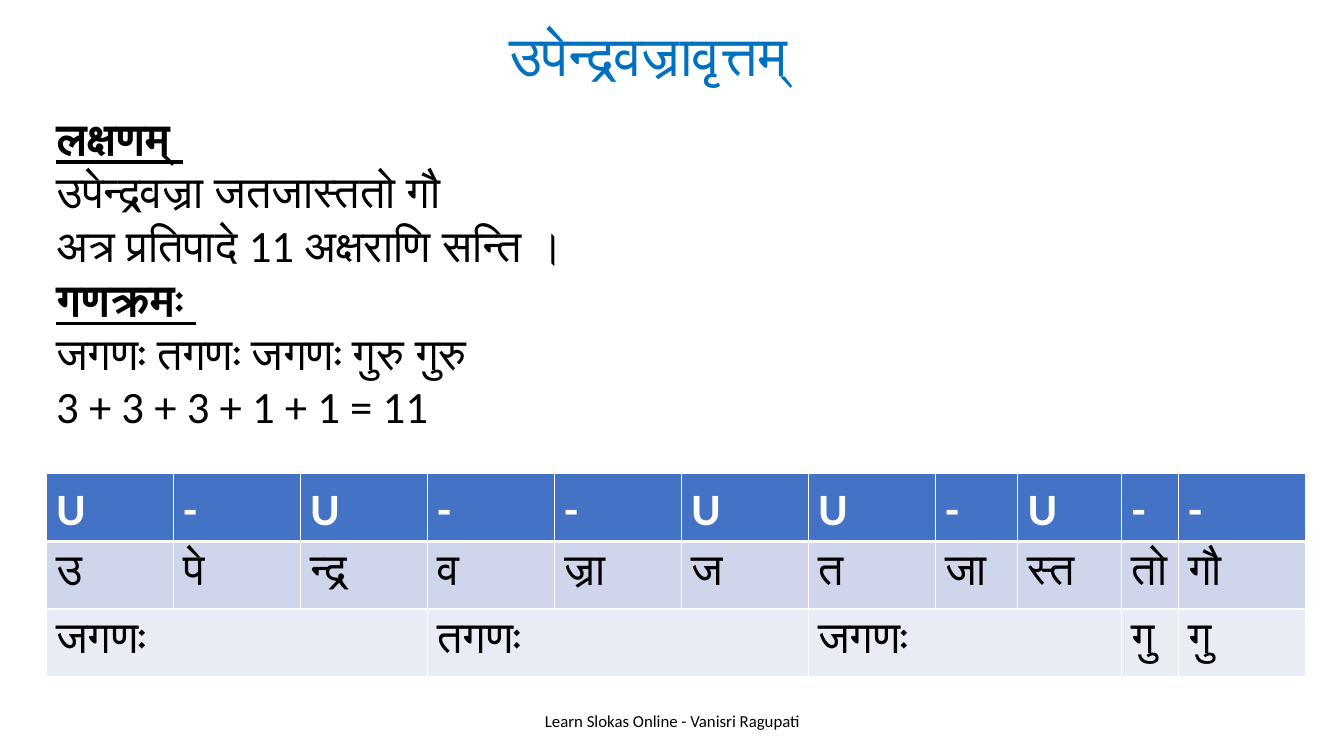
from dataclasses import dataclass

from lxml.etree import SubElement
from pptx import Presentation
from pptx.dml.color import RGBColor
from pptx.enum.text import MSO_ANCHOR, MSO_AUTO_SIZE, PP_ALIGN
from pptx.oxml.ns import qn
from pptx.util import Inches, Pt


@dataclass(frozen=True)
class Theme:
    font: str = "Calibri"
    ink: str = "000000"
    paper: str = "FFFFFF"
    title: str = "0070C0"
    bands: tuple = ("4472C4", "CFD5EA", "E9EBF5")
    title_size: int = 40
    body_size: int = 32
    footer_size: int = 12
    rule: int = 1
    header_rule: int = 3


def assign(target, values):
    for name, value in values.items():
        setattr(target, name, value)


class SlideBuilder:
    def __init__(self, prs, theme):
        self.prs = prs
        self.theme = theme
        self.s = prs.slides.add_slide(prs.slide_layouts[5])

    def x(self, percent):
        return round(self.prs.slide_width * percent / 100)

    def y(self, percent):
        return round(self.prs.slide_height * percent / 100)

    def place(self, left, top, width, height):
        return {"left": self.x(left), "top": self.y(top),
                "width": self.x(width), "height": self.y(height)}

    def add_line(self, p, text, size, color, para=None, **style):
        assign(p, para or {})
        r = p.add_run()
        r.text = text
        assign(r.font, {"name": self.theme.font, "size": Pt(size), **style})
        r.font.color.rgb = RGBColor.from_string(color)

    def title(self, text, box, bottom):
        sp = self.s.shapes.title
        assign(sp, self.place(*box))
        tf = sp.text_frame
        assign(tf, {"word_wrap": True, "auto_size": MSO_AUTO_SIZE.NONE,
                    "vertical_anchor": MSO_ANCHOR.BOTTOM,
                    "margin_bottom": self.y(bottom)})
        self.add_line(tf.paragraphs[0], text, self.theme.title_size, self.theme.title,
                      {"alignment": PP_ALIGN.CENTER, "line_spacing": 0.9})

    def text(self, lines, box, size, align=PP_ALIGN.LEFT, fit=MSO_AUTO_SIZE.NONE):
        sp = self.s.shapes.add_textbox(*self.place(*box).values())
        tf = sp.text_frame
        assign(tf, {"word_wrap": True, "auto_size": fit,
                    "vertical_anchor": MSO_ANCHOR.MIDDLE})
        for i, (line, heading) in enumerate(lines):
            p = tf.add_paragraph() if i else tf.paragraphs[0]
            self.add_line(p, line, size, self.theme.ink, {"alignment": align},
                          bold=heading, underline=heading)

    def borders(self, cell, widths):
        for side, width in widths.items():
            ln = SubElement(cell._tc.get_or_add_tcPr(), qn(f"a:ln{side}"), w=str(Pt(width)))
            fill = SubElement(ln, qn("a:solidFill"))
            SubElement(fill, qn("a:srgbClr"), val=self.theme.paper)

    def table(self, rows, merges, left, top, widths, row_height):
        t = self.theme
        box = self.place(left, top, sum(widths), row_height * len(rows))
        tbl = self.s.shapes.add_table(len(rows), len(widths), *box.values()).table
        for column, width in zip(tbl.columns, widths):
            column.width = self.x(width)
        for i, row in enumerate(rows):
            tbl.rows[i].height = self.y(row_height)
            for j, text in enumerate(row):
                cell = tbl.cell(i, j)
                self.borders(cell, {"L": t.rule, "R": t.rule,
                                    "T": t.header_rule if i == 1 else t.rule,
                                    "B": t.header_rule if i == 0 else t.rule})
                cell.fill.solid()
                cell.fill.fore_color.rgb = RGBColor.from_string(t.bands[i])
                if text:
                    self.add_line(cell.text_frame.paragraphs[0], text, t.body_size,
                                  t.ink if i else t.paper, {"line_spacing": 1.07}, bold=i == 0)
        for row, first, last in merges:
            tbl.cell(row, first).merge(tbl.cell(row, last))


def main():
    prs = Presentation()
    assign(prs, {"slide_width": Inches(13.33), "slide_height": Inches(7.5)})
    theme = Theme()
    slide = SlideBuilder(prs, theme)

    slide.text([("Learn Slokas Online - Vanisri Ragupati", False)],
               (33.16, 92.67, 33.76, 5.33), theme.footer_size, PP_ALIGN.CENTER)
    slide.title("उपेन्द्रवज्रावृत्तम्", (10.73, 6.8, 75, 13.73), bottom=8.8)
    slide.text([("लक्षणम् ", True),
                ("उपेन्द्रवज्रा जतजास्ततो गौ", False),
                ("अत्र प्रतिपादे 11 अक्षराणि सन्ति ।", False),
                ("गणक्रमः ", True),
                ("जगणः तगणः जगणः गुरु गुरु", False),
                ("3 + 3 + 3 + 1 + 1 = 11", False)],
               (3.45, 13.73, 89.65, 44.4), theme.body_size, fit=MSO_AUTO_SIZE.SHAPE_TO_FIT_TEXT)

    rows = ["U - U - - U U - U - -".split(),
            "उ पे न्द्र व ज्रा ज त जा स्त तो गौ".split(),
            ["जगणः", "", "", "तगणः", "", "", "जगणः", "", "", "गु", "गु"]]
    merges = [(2, first, first + 2) for first in (0, 3, 6)]
    wide = 9.45
    slide.table(rows, merges, 3.45, 62.67, [wide] * 7 + [6.15, 7.73, 4.2, wide], 8.8)
    prs.save("out.pptx")


if __name__ == "__main__":
    main()
